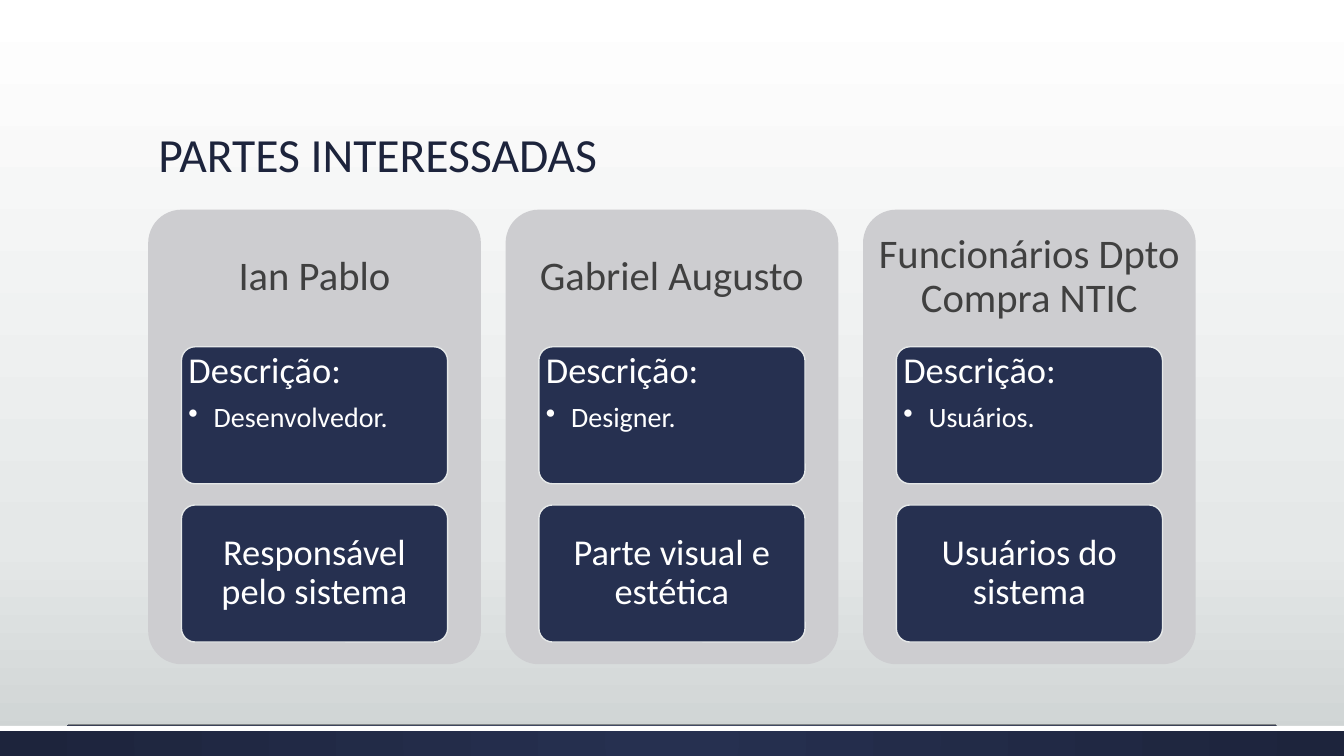
from dataclasses import dataclass

from lxml.etree import SubElement
from pptx import Presentation
from pptx.dml.color import RGBColor
from pptx.enum.shapes import MSO_CONNECTOR, MSO_SHAPE
from pptx.enum.text import MSO_ANCHOR, PP_ALIGN
from pptx.oxml.ns import qn
from pptx.shapes.autoshape import Shape
from pptx.slide import Slide
from pptx.text.text import TextFrame, _Paragraph
from pptx.util import Inches, Pt

FONT = "Calibri"
NAVY = "263050"
DARK_NAVY = "1D243C"
CARD_GREY = "CDCDD0"
HEADING_GREY = "404040"
PALE = "E5E8E8"
WHITE = "FFFFFF"

CARD_LEFT, CARD_TOP = 1.47, 2.08
CARD_WIDTH, CARD_HEIGHT = 3.3, 4.51
CARD_PITCH = 3.545
HEADING_HEIGHT = 1.35
PANEL_INSET, PANEL_WIDTH, PANEL_HEIGHT = 0.33, 2.64, 1.36
DESCRIPTION_TOP, ROLE_TOP = 3.44, 5.01


@dataclass
class Stakeholder:
    name: str
    description: str
    role: str


STAKEHOLDERS = [
    Stakeholder("Ian Pablo", "Desenvolvedor.", "Responsável pelo sistema"),
    Stakeholder("Gabriel Augusto", "Designer.", "Parte visual e estética"),
    Stakeholder("Funcionários Dpto Compra NTIC", "Usuários.", "Usuários do sistema"),
]


def color(value: str) -> RGBColor:
    return RGBColor.from_string(value)


def set_gradient(owner: Slide | Shape, stops: list[tuple[int, str]], radial: bool = False) -> None:
    """Give a slide background or a shape a vertical or circular gradient."""
    fill = owner.background.fill if isinstance(owner, Slide) else owner.fill
    fill.gradient()
    gradient = owner.element.find(".//" + qn("a:gradFill"))
    for child in list(gradient):
        gradient.remove(child)
    stop_list = SubElement(gradient, qn("a:gsLst"))
    for position, value in stops:
        stop = SubElement(stop_list, qn("a:gs"), pos=str(position * 1000))
        SubElement(stop, qn("a:srgbClr"), val=value)
    if radial:
        circle = SubElement(gradient, qn("a:path"), {"path": "circle"})
        SubElement(circle, qn("a:fillToRect"), l="50000", t="50000", r="50000", b="50000")
    else:
        SubElement(gradient, qn("a:lin"), ang="5400000", scaled="0")


def add_box(slide: Slide, kind: MSO_SHAPE, left: float, top: float, width: float,
            height: float, fill: str, line: str | None = None) -> Shape:
    shape = slide.shapes.add_shape(kind, Inches(left), Inches(top), Inches(width), Inches(height))
    shape.shadow.inherit = False
    shape.fill.solid()
    shape.fill.fore_color.rgb = color(fill)
    if line:
        shape.line.color.rgb = color(line)
        shape.line.width = Pt(1)
    else:
        shape.line.fill.background()
    if kind == MSO_SHAPE.ROUNDED_RECTANGLE:
        shape.adjustments[0] = 0.1
    return shape


def format_paragraph(paragraph: _Paragraph, size: int, text_color: str,
                     alignment: PP_ALIGN = PP_ALIGN.LEFT) -> None:
    paragraph.alignment = alignment
    paragraph.line_spacing = 0.9
    for run in paragraph.runs:
        run.font.name = FONT
        run.font.size = Pt(size)
        run.font.color.rgb = color(text_color)


def set_frame(frame: TextFrame, anchor: MSO_ANCHOR, horizontal: float, vertical: float) -> None:
    """Turn wrapping on and set the anchor and the margins."""
    frame.word_wrap = True
    frame.vertical_anchor = anchor
    frame.margin_left = frame.margin_right = Inches(horizontal)
    frame.margin_top = frame.margin_bottom = Inches(vertical)


def add_bullet(paragraph: _Paragraph) -> None:
    properties = paragraph._p.get_or_add_pPr()
    properties.set("marL", str(Inches(0.25)))
    properties.set("indent", str(Inches(-0.25)))
    SubElement(properties, qn("a:buChar"), char="•")


def add_panel(slide: Slide, left: float, top: float, anchor: MSO_ANCHOR) -> TextFrame:
    panel = add_box(slide, MSO_SHAPE.ROUNDED_RECTANGLE, left, top,
                    PANEL_WIDTH, PANEL_HEIGHT, NAVY, PALE)
    set_frame(panel.text_frame, anchor, 0.03, 0.01)
    return panel.text_frame


def add_card(slide: Slide, left: float, stakeholder: Stakeholder) -> None:
    add_box(slide, MSO_SHAPE.ROUNDED_RECTANGLE, left, CARD_TOP, CARD_WIDTH, CARD_HEIGHT, CARD_GREY)

    heading = slide.shapes.add_textbox(Inches(left), Inches(CARD_TOP),
                                       Inches(CARD_WIDTH), Inches(HEADING_HEIGHT)).text_frame
    set_frame(heading, MSO_ANCHOR.MIDDLE, 0.12, 0.12)
    heading.text = stakeholder.name
    format_paragraph(heading.paragraphs[0], 29, HEADING_GREY, PP_ALIGN.CENTER)

    panel_left = left + PANEL_INSET
    description = add_panel(slide, panel_left, DESCRIPTION_TOP, MSO_ANCHOR.TOP)
    description.text = f"Descrição:\n{stakeholder.description}"
    label, detail = description.paragraphs
    format_paragraph(label, 26, WHITE)
    label.space_after = Pt(9)
    format_paragraph(detail, 20, WHITE)
    add_bullet(detail)

    role = add_panel(slide, panel_left, ROLE_TOP, MSO_ANCHOR.MIDDLE)
    role.text = stakeholder.role
    format_paragraph(role.paragraphs[0], 26, WHITE, PP_ALIGN.CENTER)


def add_footer(slide: Slide) -> None:
    band = add_box(slide, MSO_SHAPE.RECTANGLE, 0, 7.2, 13.33, 0.3, NAVY)
    set_gradient(band, [(0, NAVY), (100, DARK_NAVY)], radial=True)
    rule = slide.shapes.add_connector(MSO_CONNECTOR.STRAIGHT, Inches(0.67), Inches(7.19),
                                      Inches(12.66), Inches(7.19))
    rule.line.color.rgb = color("808585")
    rule.line.width = Pt(0.75)
    SubElement(rule.element.spPr, qn("a:effectLst"))
    add_box(slide, MSO_SHAPE.RECTANGLE, 0, 7.2, 13.33, 0.05, WHITE)


def add_title(slide: Slide, text: str) -> None:
    title = slide.shapes.title
    title.left, title.top = Inches(1.47), Inches(0.51)
    title.width, title.height = Inches(10.4), Inches(1.35)
    set_frame(title.text_frame, MSO_ANCHOR.BOTTOM, 0.1, 0.05)
    title.text_frame.text = text
    format_paragraph(title.text_frame.paragraphs[0], 34, DARK_NAVY)


def main() -> None:
    presentation = Presentation()
    presentation.slide_width = Inches(13.33)
    presentation.slide_height = Inches(7.5)
    slide = presentation.slides.add_slide(presentation.slide_layouts[5])
    set_gradient(slide, [(0, WHITE), (72, PALE), (100, "CDD2D2")])
    add_footer(slide)
    add_title(slide, "PARTES INTERESSADAS")
    for index, stakeholder in enumerate(STAKEHOLDERS):
        add_card(slide, CARD_LEFT + index * CARD_PITCH, stakeholder)
    presentation.save("out.pptx")


if __name__ == "__main__":
    main()
